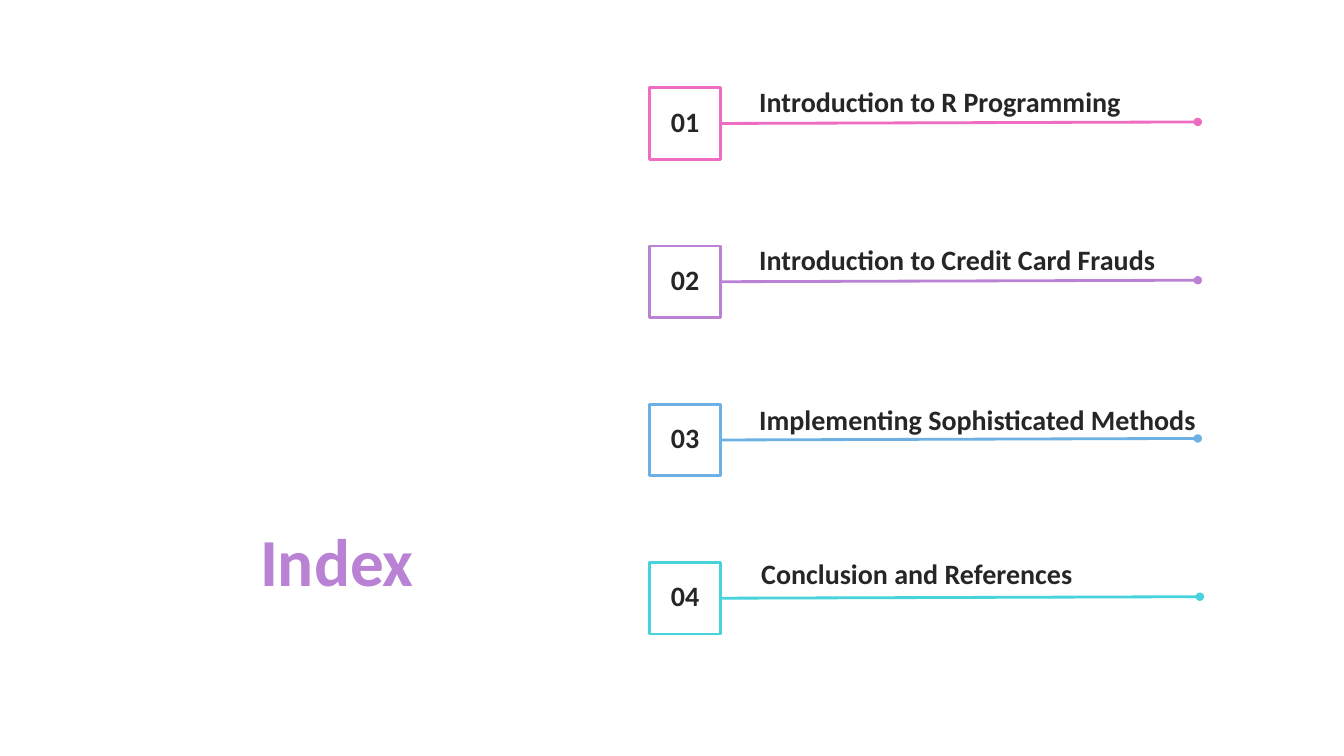
from lxml import etree
from pptx import Presentation
from pptx.dml.color import RGBColor
from pptx.enum import shapes, text
from pptx.oxml import ns
from pptx.util import Inches, Pt

PINK = RGBColor(0xEE, 0x6C, 0xC1)
PURPLE = RGBColor(0xB9, 0x82, 0xD5)
BLUE = RGBColor(0x6D, 0xB0, 0xE4)
TURQUOISE = RGBColor(0x47, 0xD3, 0xDC)
WHITE = RGBColor(0xFF, 0xFF, 0xFF)
DARK = RGBColor(0x26, 0x26, 0x26)

FONT = "Calibri"
LINE_WIDTH = Pt(2)
SQUARE_LEFT, SQUARE_TOP, SQUARE_SIZE = 6.44, 0.87, 0.71
ROW_PITCH = 1.57

# Topic, accent colour, left and top of the topic text, right end of the line
TOPICS = [
    ("Introduction to R Programming", PINK, 7.41, 0.79, 11.88),
    ("Introduction to Credit Card Frauds", PURPLE, 7.41, 2.36, 11.88),
    ("Implementing Sophisticated Methods", BLUE, 7.41, 3.94, 11.88),
    ("Conclusion and References", TURQUOISE, 7.43, 5.47, 11.9),
]


def write(frame, words, size, color, align):
    frame.text = words
    para = frame.paragraphs[0]
    para.alignment = align
    font = para.runs[0].font
    font.name, font.size, font.bold = FONT, Pt(size), True
    font.color.rgb = color


def add_title(page):
    title = page.shapes.title
    title.left, title.top = Inches(2.48), Inches(5.1)
    title.width, title.height = Inches(4.16), Inches(0.91)
    frame = title.text_frame
    frame.auto_size = text.MSO_AUTO_SIZE.NONE
    frame.vertical_anchor = text.MSO_ANCHOR.MIDDLE
    write(frame, "Index", 48, PURPLE, text.PP_ALIGN.LEFT)


def add_number_square(page, number, top, color):
    square = page.shapes.add_shape(
        shapes.MSO_SHAPE.RECTANGLE, Inches(SQUARE_LEFT), Inches(top),
        Inches(SQUARE_SIZE), Inches(SQUARE_SIZE))
    square.shadow.inherit = False
    square.fill.solid()
    square.fill.fore_color.rgb = WHITE
    square.line.color.rgb = color
    square.line.width = LINE_WIDTH
    frame = square.text_frame
    frame.margin_top, frame.margin_bottom = 0, Inches(0.05)
    frame.vertical_anchor = text.MSO_ANCHOR.MIDDLE
    write(frame, f"{number:02}", 20, DARK, text.PP_ALIGN.CENTER)
    return square


def add_topic(page, words, left, top):
    box = page.shapes.add_textbox(
        Inches(left), Inches(top), Inches(5), Inches(0.44))
    frame = box.text_frame
    frame.word_wrap = True
    frame.margin_left = frame.margin_right = Inches(0.12)
    write(frame, words, 20, DARK, text.PP_ALIGN.LEFT)


def add_dotted_end_line(page, square, right, end_y, color):
    """Draw a line from the square's right side to an oval end."""
    line = page.shapes.add_connector(
        shapes.MSO_CONNECTOR.STRAIGHT, square.left + square.width,
        square.top + square.height // 2, Inches(right), Inches(end_y))
    line.begin_connect(square, 3)
    line.line.color.rgb = color
    line.line.width = LINE_WIDTH
    etree.SubElement(line.line._get_or_add_ln(), ns.qn("a:tailEnd"), type="oval")
    etree.SubElement(line._element.spPr, ns.qn("a:effectLst"))


def main():
    deck = Presentation()
    deck.slide_width, deck.slide_height = Inches(13.33), Inches(7.5)
    page = deck.slides.add_slide(deck.slide_layouts.get_by_name("Title Only"))
    add_title(page)
    for row, (words, color, left, topic_top, right) in enumerate(TOPICS):
        top = SQUARE_TOP + row * ROW_PITCH
        square = add_number_square(page, row + 1, top, color)
        add_topic(page, words, left, topic_top)
        add_dotted_end_line(page, square, right, top + 0.34, color)
    deck.save("out.pptx")


if __name__ == "__main__":
    main()
